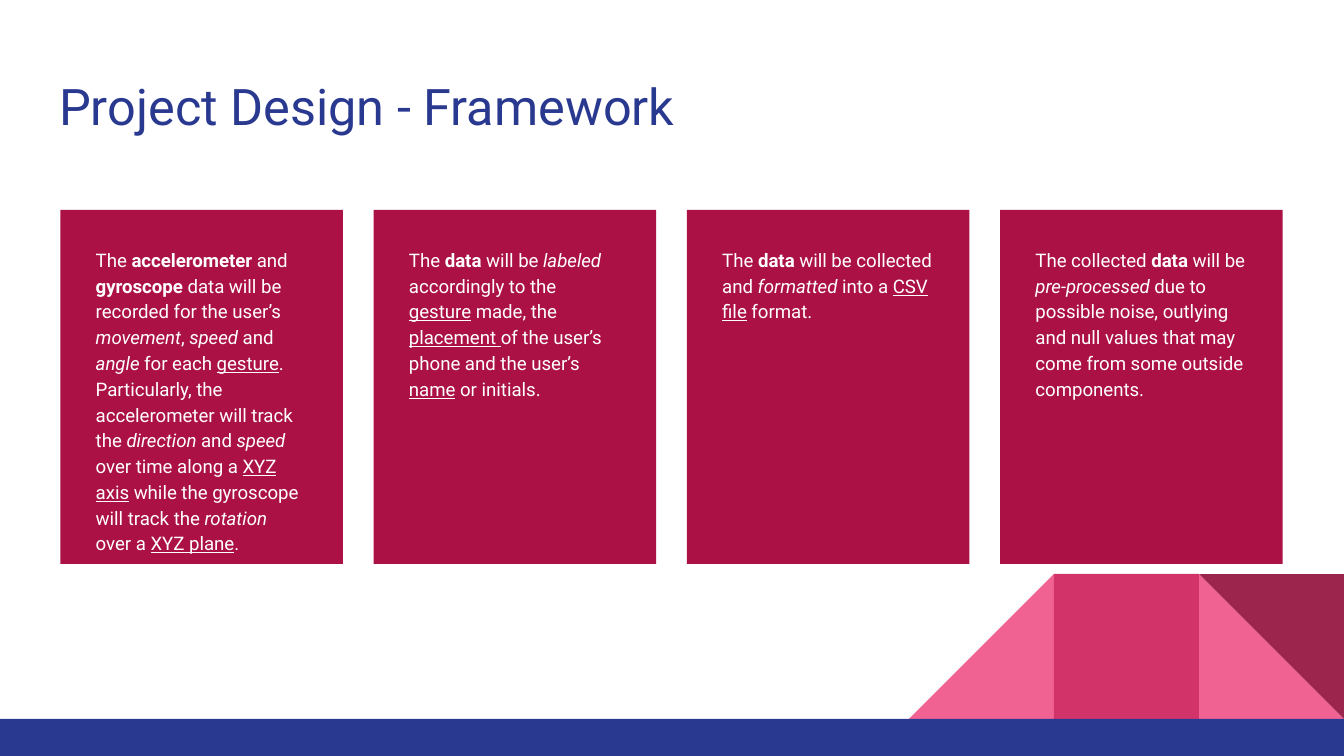
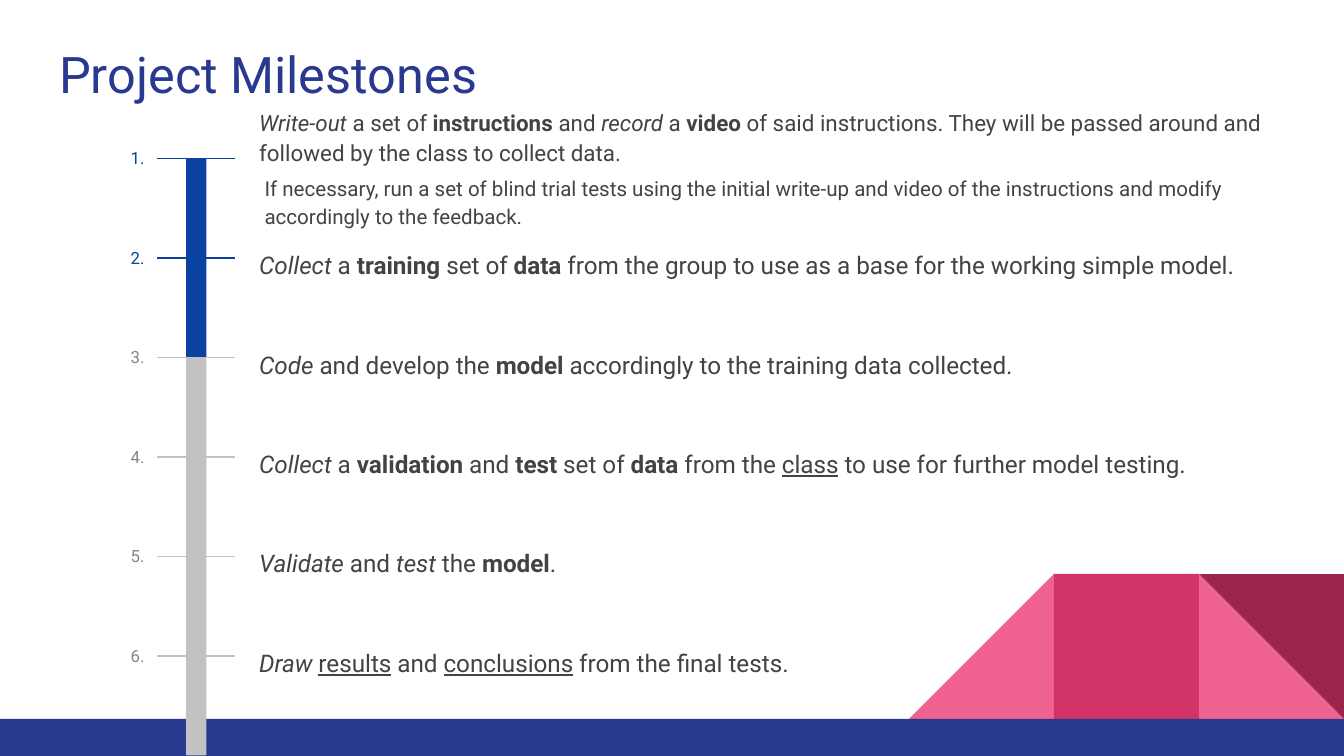
from itertools import groupby

from lxml import etree
from pptx import Presentation
from pptx.dml.color import RGBColor
from pptx.enum.shapes import MSO_CONNECTOR, MSO_SHAPE
from pptx.enum.text import MSO_ANCHOR, PP_ALIGN
from pptx.oxml.ns import qn
from pptx.util import Cm, Pt

RECT, TRIANGLE = MSO_SHAPE.RECTANGLE, MSO_SHAPE.RIGHT_TRIANGLE
STRAIGHT = MSO_CONNECTOR.STRAIGHT
TOP, BOTTOM = MSO_ANCHOR.TOP, MSO_ANCHOR.BOTTOM
LEFT, RIGHT = PP_ALIGN.LEFT, PP_ALIGN.RIGHT

NAVY = RGBColor(0x2A, 0x39, 0x90)
BLUE = RGBColor(0x09, 0x42, 0xA1)
CRIMSON = RGBColor(0xAC, 0x11, 0x46)
PINK = RGBColor(0xF0, 0x62, 0x92)
ROSE = RGBColor(0xD2, 0x33, 0x69)
WINE = RGBColor(0x9C, 0x25, 0x4D)
WHITE = RGBColor(0xFF, 0xFF, 0xFF)
INK = RGBColor(0x43, 0x43, 0x43)
GREY = RGBColor(0x85, 0x85, 0x85)
SILVER = RGBColor(0xC2, 0xC2, 0xC2)

FONT = "Roboto"
WIDTH, HEIGHT = 25.4, 14.29
FOOTER_TOP = 13.59
TILE = 2.74
MARKS = {"*": "bold", "/": "italic", "_": "underline"}

CARDS = [
    "The *accelerometer* and *gyroscope* data will be recorded for the user’s "
    "/movement/, /speed/ and /angle/ for each _gesture_. Particularly, the "
    "accelerometer will track the /direction/ and /speed/ over time along a "
    "_XYZ axis_ while the gyroscope will track the /rotation/ over a _XYZ plane_.",
    "The *data* will be /labeled/ accordingly to the _gesture_ made, the "
    "_placement _of the user’s phone and the user’s _name_ or initials.",
    "The *data* will be collected and /formatted/ into a _CSV file_ format.",
    "The collected *data* will be /pre-processed/ due to possible noise, outlying "
    "and null values that may come from some outside components.",
]

FIRST_STEP = (
    "/Write-out/ a set of *instructions* and /record/ a *video* of said instructions. "
    "They will be passed around and followed by the class to collect data."
)
FIRST_STEP_NOTE = (
    "If necessary, run a set of blind trial tests using the initial write-up and video "
    "of the instructions and modify accordingly to the feedback."
)
LATER_STEPS = [
    "/Collect/ a *training* set of *data* from the group to use as a base for the "
    "working simple model.",
    "/Code/ and develop the *model* accordingly to the training data collected.",
    "/Collect/ a *validation* and *test* set of *data* from the _class_ to use for "
    "further model testing.",
    "/Validate/ and /test/ the *model*.",
    "/Draw/ _results_ and _conclusions_ from the final tests.",
]
STEPS_DONE = 2


def write(tf, text, size=10, color=INK, align=LEFT, anchor=TOP, spacing=1.15, after=0):
    """Fill a text frame, where *bold*, /italic/ and _underline_ mark the runs."""
    tf.word_wrap = True
    tf.vertical_anchor = anchor
    tf.margin_left = tf.margin_right = tf.margin_top = tf.margin_bottom = Cm(0.25)
    p = tf.paragraphs[0]
    p.alignment, p.line_spacing, p.space_after = align, spacing, Pt(after)
    style = None
    for mark, chars in groupby(text, lambda c: MARKS.get(c)):
        if mark:
            style = None if style else mark
            continue
        r = p.add_run()
        r.text = "".join(chars)
        r.font.name, r.font.size = FONT, Pt(size)
        r.font.color.rgb = color
        if style:
            setattr(r.font, style, True)


class Deck:
    """Holds the presentation, its shared style and the current slide."""

    def __init__(self):
        self.prs = Presentation()
        self.prs.slide_width, self.prs.slide_height = Cm(WIDTH), Cm(HEIGHT)
        self.s = None

    def slide(self, title, title_top):
        """Start a slide with the corner tiles, footer band and title."""
        self.s = self.prs.slides.add_slide(self.prs.slide_layouts[6])
        tiles = [(1, TRIANGLE, PINK, 0), (3, TRIANGLE, PINK, 270),
                 (2, RECT, ROSE, 0), (1, TRIANGLE, WINE, 180)]
        for from_right, kind, color, rotation in tiles:
            self.shape(WIDTH - from_right * TILE, FOOTER_TOP - TILE, TILE, TILE,
                       color, kind, rotation)
        self.shape(0, FOOTER_TOP, WIDTH, HEIGHT - FOOTER_TOP, NAVY)
        self.text(0.87, title_top, 23.67, 1.68, title,
                  size=27, color=NAVY, anchor=BOTTOM, spacing=1)

    def shape(self, x, y, w, h, color, kind=RECT, rotation=0):
        """Add a filled shape without outline."""
        sp = self.s.shapes.add_shape(kind, Cm(x), Cm(y), Cm(w), Cm(h))
        sp.shadow.inherit = False
        sp.fill.solid()
        sp.fill.fore_color.rgb = color
        sp.line.fill.background()
        sp.rotation = rotation

    def text(self, x, y, w, h, text, **fmt):
        """Add a text box."""
        box = self.s.shapes.add_textbox(Cm(x), Cm(y), Cm(w), Cm(h))
        write(box.text_frame, text, **fmt)

    def line(self, x1, y1, x2, y2, color):
        """Add a thin straight line."""
        cxn = self.s.shapes.add_connector(STRAIGHT, Cm(x1), Cm(y1), Cm(x2), Cm(y2))
        cxn.line.color.rgb = color
        cxn.line.width = Pt(0.75)
        etree.SubElement(cxn._element.spPr, qn("a:effectLst"))

    def card(self, x, y, text):
        """Add a crimson card with its text."""
        self.shape(x, y, 5.34, 6.69, CRIMSON)
        self.text(x + 0.42, y + 0.42, 4.47, 5.59, text, color=WHITE, after=12)

    def marker(self, number, y, height):
        """Add one numbered stretch of the timeline."""
        done = number <= STEPS_DONE
        bar = BLUE if done else SILVER
        self.text(0.87, y - 0.48, 2.11, 1, f"{number}.",
                  size=9, color=BLUE if done else GREY, align=RIGHT)
        self.shape(3.52, y, 0.38, height, bar)
        self.line(4.44, y, 2.97, y, bar)


def framework(deck):
    """Build the four framework cards."""
    deck.slide("Project Design - Framework", 1.14)
    for i, text in enumerate(CARDS):
        deck.card(1.14 + 5.92 * i, 3.97, text)


def milestones(deck):
    """Build the milestone timeline."""
    top, step, left = 3, 1.88, 4.65
    deck.slide("Project Milestones", 0.53)
    deck.text(left, 1.73, WIDTH - left, 0.79, FIRST_STEP, size=12, after=12)
    deck.text(4.75, top, WIDTH - 4.75, 1.37, FIRST_STEP_NOTE, size=11, after=12)
    deck.marker(1, top, step)
    for number, text in enumerate(LATER_STEPS, 2):
        y = top + step * (number - 1)
        width = 19.86 if number < 5 else 14.22
        deck.text(left, y - 0.48, width, 1.85, text, size=13, after=12)
        deck.marker(number, y, step)


def main():
    """Build and save the deck."""
    deck = Deck()
    framework(deck)
    milestones(deck)
    deck.prs.save("out.pptx")


if __name__ == "__main__":
    main()
